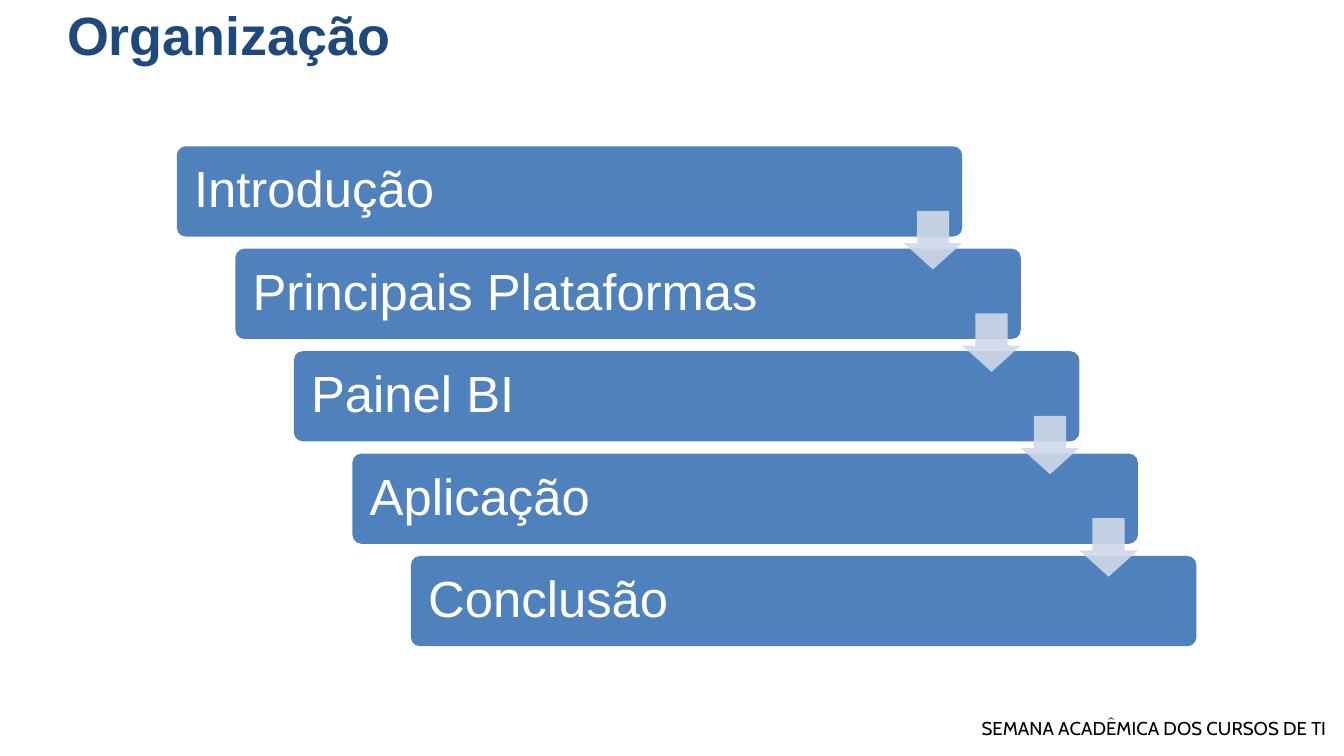
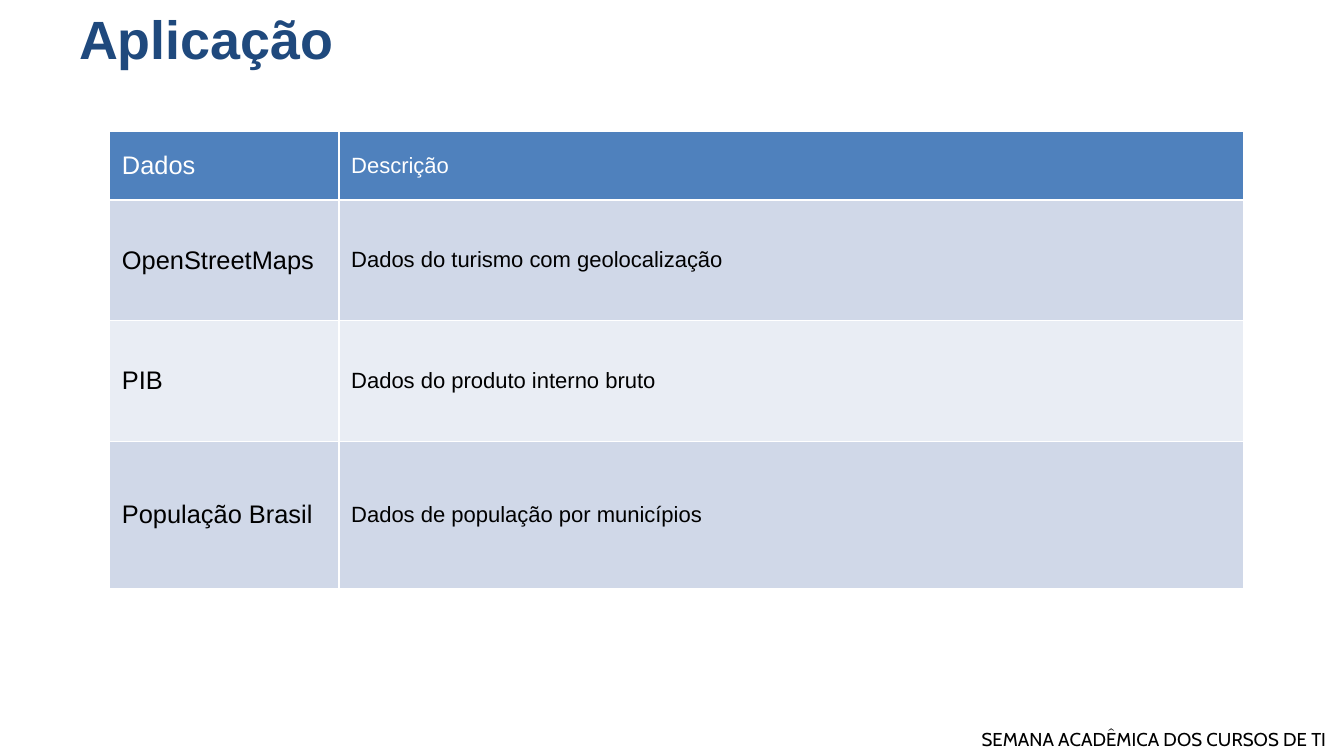
"""Build two slides: the talk outline as a staircase and the table of data sources."""
from lxml.etree import SubElement
from pptx import Presentation
from pptx.dml.color import RGBColor
from pptx.enum.shapes import MSO_SHAPE
from pptx.enum.text import MSO_ANCHOR, PP_ALIGN
from pptx.oxml import parse_xml
from pptx.oxml.ns import nsdecls, qn
from pptx.util import Inches, Pt

NAVY, BLUE, PALE, LIGHT = "1F497D", "4F81BD", "D0D8E8", "E9EDF4"
WHITE, BLACK = "FFFFFF", "000000"
FOOTER = "SEMANA ACADÊMICA DOS CURSOS DE TI"

TOPICS = ["Introdução", "Principais Plataformas", "Painel BI", "Aplicação", "Conclusão"]
BAR_X, BAR_Y, BAR_W, BAR_H = 1.45, 1.2, 6.44, 0.74
STEP_X, STEP_Y = 0.48, 0.84
ARROW, ARROW_DROP = 0.48, 0.53

DATA = [
    ("Dados", "Descrição"),
    ("OpenStreetMaps", "Dados do turismo com geolocalização"),
    ("PIB", "Dados do produto interno bruto"),
    ("População Brasil", "Dados de população por municípios"),
]
ROW_FILLS = [BLUE, PALE, LIGHT, PALE]
ROW_HEIGHTS = [0.56, 0.99, 0.99, 1.21]
COL_WIDTHS = [1.88, 7.42]
COL_SIZES = [15, 13]


def rgb(color):
    return RGBColor.from_string(color)


def write(tf, text, size, color=BLACK, font="Arial", bold=False, align=PP_ALIGN.LEFT,
          spacing=1.0, anchor=MSO_ANCHOR.TOP, insets=(0.1, 0.05, 0.1, 0.05)):
    tf.word_wrap = True
    tf.vertical_anchor = anchor
    tf.margin_left, tf.margin_top, tf.margin_right, tf.margin_bottom = map(Inches, insets)
    p = tf.paragraphs[0]
    p.alignment, p.line_spacing = align, spacing
    r = p.add_run()
    r.text = text
    r.font.name, r.font.size, r.font.bold = font, Pt(size), bold
    r.font.color.rgb = rgb(color)


def add_text(s, box, text, size, **style):
    write(s.shapes.add_textbox(*map(Inches, box)).text_frame, text, size, **style)


def add_block(s, kind, box, fill, adjustments):
    sp = s.shapes.add_shape(kind, *map(Inches, box))
    sp.shadow.inherit = False
    sp.fill.solid()
    sp.fill.fore_color.rgb = rgb(fill)
    sp.line.fill.background()
    for i, value in enumerate(adjustments):
        sp.adjustments[i] = value
    return sp


def add_slide(prs, title, title_box, footer_y, **title_style):
    s = prs.slides.add_slide(prs.slide_layouts[6])
    add_text(s, title_box, title, 31.8, color=NAVY, bold=True, **title_style)
    add_text(s, (7.95, footer_y, 3.07, 0.27), FOOTER, 11, font="Cabin", align=PP_ALIGN.JUSTIFY)
    return s


def add_staircase(s):
    for i, topic in enumerate(TOPICS):
        box = (BAR_X + i * STEP_X, BAR_Y + i * STEP_Y, BAR_W, BAR_H)
        bar = add_block(s, MSO_SHAPE.ROUNDED_RECTANGLE, box, BLUE, [0.1])
        write(bar.text_frame, topic, 30, color=WHITE, spacing=0.9,
              anchor=MSO_ANCHOR.MIDDLE, insets=(0.12, 0.12, 0.12, 0.12))
    for i in range(len(TOPICS) - 1):
        right = BAR_X + i * STEP_X + BAR_W
        box = (right - ARROW, BAR_Y + i * STEP_Y + ARROW_DROP, ARROW, ARROW)
        arrow = add_block(s, MSO_SHAPE.DOWN_ARROW, box, PALE, [0.55, 0.45])
        color = arrow.fill._xPr.find(qn("a:solidFill"))[0]
        SubElement(color, qn("a:alpha")).set("val", "90000")


def add_borders(cell, color, width):
    tc_pr = cell._tc.get_or_add_tcPr()
    for i, side in enumerate("LRTB"):
        tc_pr.insert(i, parse_xml(
            f'<a:ln{side} {nsdecls("a")} w="{Pt(width)}"><a:solidFill>'
            f'<a:srgbClr val="{color}"/></a:solidFill></a:ln{side}>'))


def add_data_table(s):
    size = (sum(COL_WIDTHS), sum(ROW_HEIGHTS))
    table = s.shapes.add_table(len(DATA), len(COL_WIDTHS), *map(Inches, (0.9, 1.08, *size))).table
    for column, width in zip(table.columns, COL_WIDTHS):
        column.width = Inches(width)
    for i, (values, fill, height) in enumerate(zip(DATA, ROW_FILLS, ROW_HEIGHTS)):
        table.rows[i].height = Inches(height)
        for j, value in enumerate(values):
            cell = table.cell(i, j)
            cell.fill.solid()
            cell.fill.fore_color.rgb = rgb(fill)
            cell.vertical_anchor = MSO_ANCHOR.MIDDLE
            cell.margin_left = cell.margin_right = Inches(0.1)
            cell.margin_top = cell.margin_bottom = Inches(0.04)
            add_borders(cell, WHITE, 1)
            p = cell.text_frame.paragraphs[0]
            r = p.add_run()
            r.text = value
            r.font.name, r.font.size, r.font.bold = "Arial", Pt(COL_SIZES[j]), False
            r.font.color.rgb = rgb(BLACK if i else WHITE)


def main():
    prs = Presentation()
    prs.slide_width, prs.slide_height = Inches(11.02), Inches(6.2)
    s = add_slide(prs, "Organização", (0.55, 0, 8.36, 0.63), 5.83, spacing=0.9,
                  anchor=MSO_ANCHOR.MIDDLE, insets=(0, 0, 0, 0))
    add_staircase(s)
    s = add_slide(prs, "Aplicação", (0.55, 0, 8.93, 0.59), 5.92)
    add_data_table(s)
    prs.save("out.pptx")


if __name__ == "__main__":
    main()
